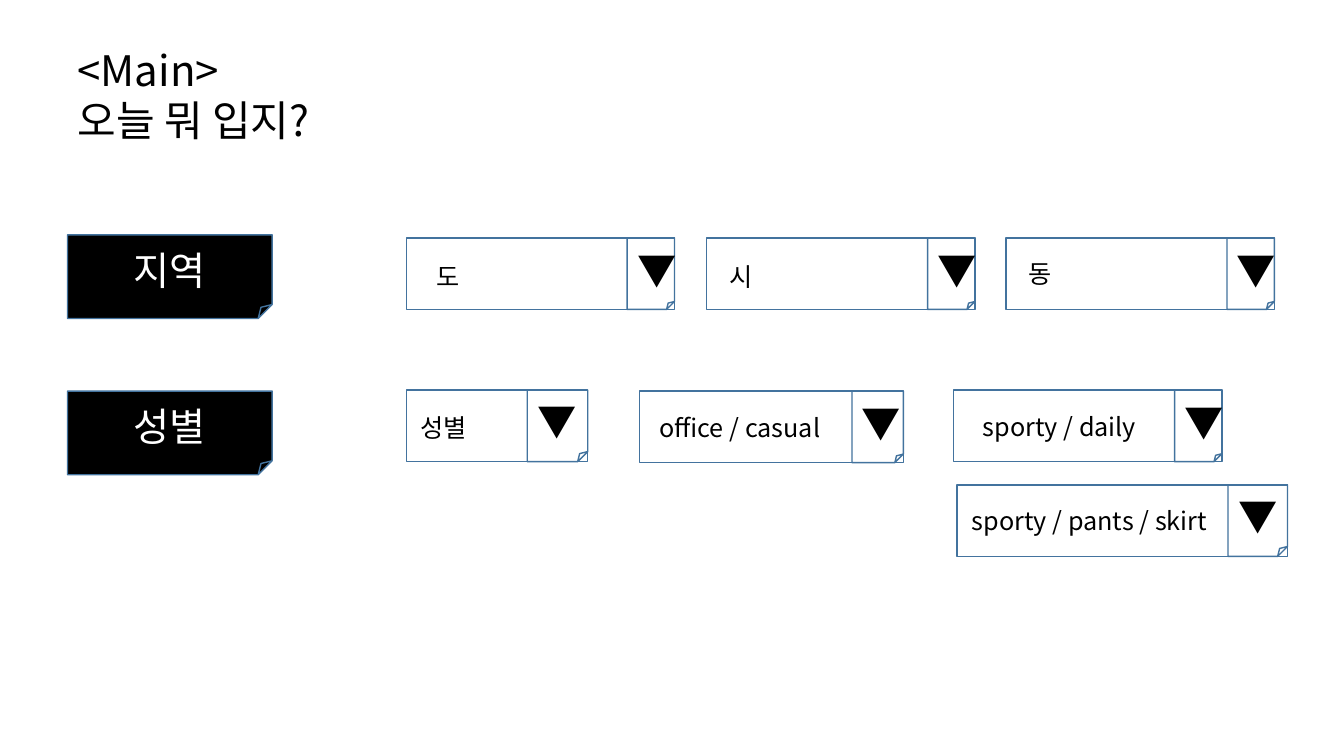
from pptx import Presentation
from pptx.dml.color import RGBColor
from pptx.enum.shapes import MSO_SHAPE as Shape
from pptx.enum.text import MSO_ANCHOR as Anchor, MSO_AUTO_SIZE as AutoSize, PP_ALIGN as Align
from pptx.oxml.ns import qn
from pptx.util import Inches, Pt
from lxml.etree import SubElement

COLORS = {"black": "000000", "white": "FFFFFF", "edge": "43739E"}
FONT = "Noto Sans CJK KR"
TITLE = ["<Main>", "오늘 뭐 입지?"]
LABEL_LEFT, LABEL_WIDTH, LABEL_HEIGHT = 0.67, 2.03, 0.83
LABELS = [("지역", 2.33), ("성별", 3.88)]
DROP_HEIGHT = 0.71
TEXT_HEIGHT = 0.4

# Dropdowns: text, left, top, width, arrow width, text offset x, y, text width
DROPDOWNS = [
    ("도", 4.03, 2.36, 2.66, 0.47, 0.20, 0.18, 0.45),
    ("시", 7.01, 2.36, 2.66, 0.47, 0.13, 0.18, 0.45),
    ("동", 9.98, 2.36, 2.66, 0.47, 0.12, 0.15, 0.45),
    ("성별", 4.03, 3.87, 1.80, 0.60, 0.04, 0.17, 0.71),
    ("office / casual", 6.34, 3.88, 2.62, 0.51, 0.10, 0.16, 1.80),
    ("sporty / daily", 9.46, 3.87, 2.66, 0.47, 0.19, 0.16, 1.73),
    ("sporty / pants / skirt", 9.49, 4.81, 3.28, 0.59, 0.05, 0.15, 2.58),
]


def color(name):
    return RGBColor.from_string(COLORS[name])


def write(box, lines, size, ink, align=Align.LEFT):
    frame = box.text_frame
    frame.text = "\n".join(lines)
    for para in frame.paragraphs:
        para.alignment = align
        font = para.font
        font.name, font.size = FONT, Pt(size)
        font.color.rgb = color(ink)
        # East Asian glyphs need their own typeface entry
        properties = para._p.pPr.find(qn("a:defRPr"))
        SubElement(properties, qn("a:ea"), typeface=FONT)
        properties.find(qn("a:latin")).addnext(properties.find(qn("a:ea")))


def add_box(parent, kind, left, top, width, height, fill=None):
    box = parent.shapes.add_shape(kind, *map(Inches, (left, top, width, height)))
    box.shadow.inherit = False
    if fill:
        box.fill.solid()
        box.fill.fore_color.rgb = color(fill)
    else:
        box.fill.background()
    box.line.color.rgb = color("edge")
    box.line.width = Pt(1)
    box.text_frame.vertical_anchor = Anchor.MIDDLE
    return box


def add_text(left, top, width, height, lines, size):
    box = page.shapes.add_textbox(*map(Inches, (left, top, width, height)))
    box.text_frame.word_wrap = False
    box.text_frame.auto_size = AutoSize.SHAPE_TO_FIT_TEXT
    write(box, lines, size, "black")


deck = Presentation()
deck.slide_width, deck.slide_height = Inches(13.33), Inches(7.5)
page = deck.slides.add_slide(deck.slide_layouts[6])

# Title
add_text(LABEL_LEFT, 0.39, 2.79, 1.11, TITLE, 30)

# Row labels
for label, top in LABELS:
    box = add_box(page, Shape.FOLDED_CORNER, LABEL_LEFT, top, LABEL_WIDTH, LABEL_HEIGHT, "black")
    write(box, [label], 28, "white", Align.CENTER)

# Dropdowns, each with its arrow button at the right end
for text, left, top, width, arrow_width, offset_x, offset_y, text_width in DROPDOWNS:
    group = page.shapes.add_group_shape()
    add_box(group, Shape.RECTANGLE, left, top, width, DROP_HEIGHT)
    arrow_left = left + width - arrow_width
    arrow = add_box(group, Shape.FOLDED_CORNER, arrow_left, top, arrow_width, DROP_HEIGHT)
    write(arrow, ["▼"], 28, "black", Align.CENTER)
    add_text(left + offset_x, top + offset_y, text_width, TEXT_HEIGHT, [text], 18)

deck.save("out.pptx")
